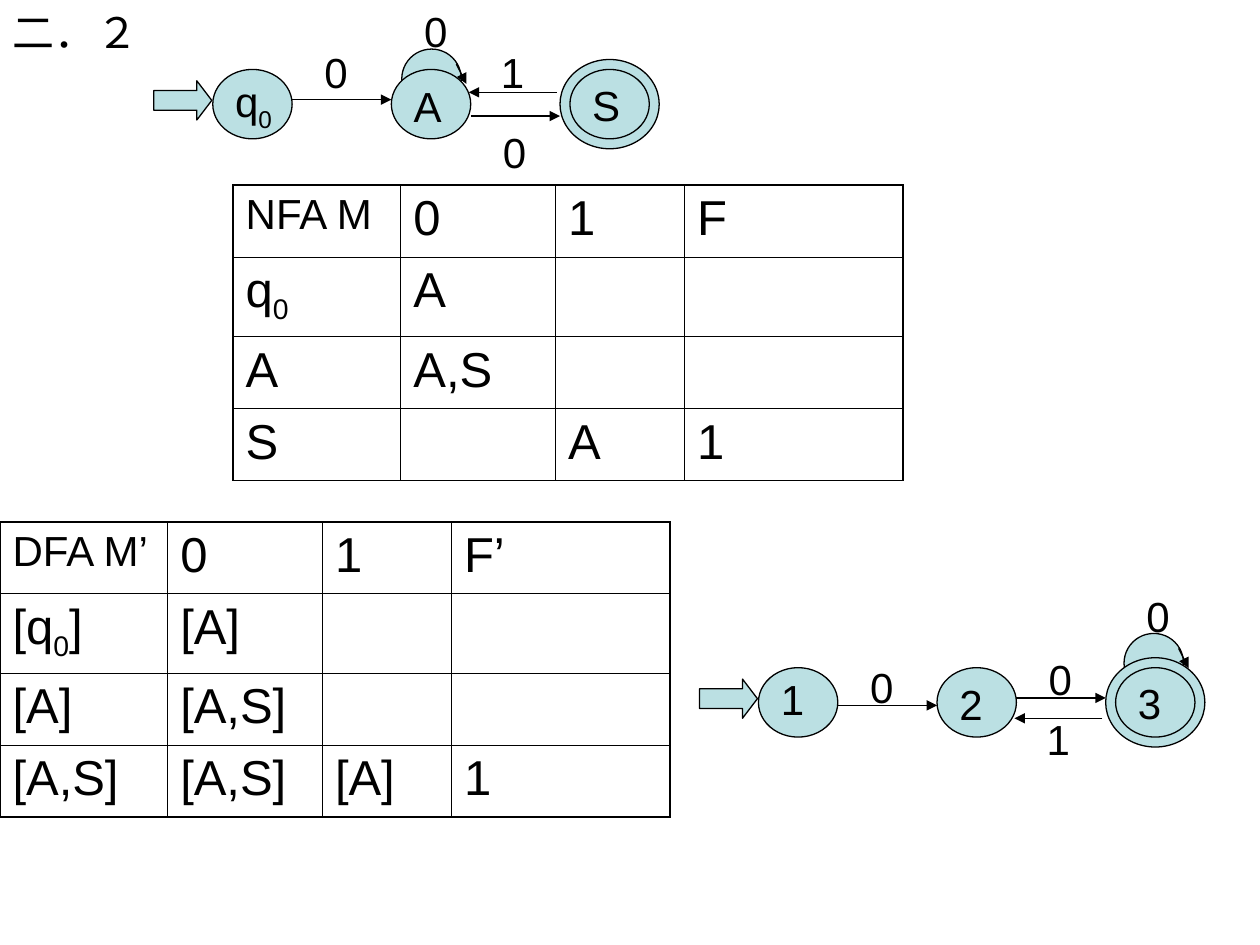
import dataclasses

import pptx
import pptx.dml.color
import pptx.enum.shapes
import pptx.enum.text
import pptx.oxml
import pptx.oxml.ns
import pptx.util

Cm = pptx.util.Cm
Pt = pptx.util.Pt
SHAPE = pptx.enum.shapes.MSO_SHAPE


@dataclasses.dataclass(frozen=True)
class Theme:
    font: str = "Arial"
    ink: str = "000000"
    fill: str = "BBE0E3"
    text_size: int = 24
    cell_size: int = 28
    line: float = 0.75
    inner_border: float = 0.45
    outer_border: float = 1.08


THEME = Theme()

# Lengths in centimetres; automaton parts are measured from its first state.
STATE_W, STATE_H, STATE_PITCH, RING = 1.6, 1.4, 3.6, 0.2
LABEL_W, LABEL_H = 1, 1.27
LABEL_DROPS = (0, 0.1, 0.08)
COLUMNS = (3.38, 3.12, 2.6, 4.4)
ROWS = (1.45, 1.6, 1.45, 1.45)


@dataclasses.dataclass(frozen=True)
class Edge:
    start: float
    end: float
    y: float
    label: str
    label_y: float


NFA_EDGES = (
    Edge(1.6, 3.6, 0.61, "0", -0.58),
    Edge(5.2, 7, 0.94, "0", 1.02),
    Edge(6.93, 5.16, 0.46, "1", -0.58),
)
DFA_EDGES = (
    Edge(1.6, 3.6, 0.76, "0", -0.25),
    Edge(5.2, 7, 0.61, "0", -0.41),
    Edge(6.93, 5.16, 1.02, "1", 0.79),
)
NFA_ROWS = (
    ("NFA M", "0", "1", "F"),
    ("q_0", "A", "", ""),
    ("A", "A,S", "", ""),
    ("S", "", "A", "1"),
)
DFA_ROWS = (
    ("DFA M’", "0", "1", "F’"),
    ("[q_0_]", "[A]", "", ""),
    ("[A]", "[A,S]", "", ""),
    ("[A,S]", "[A,S]", "[A]", "1"),
)


def color(value):
    return pptx.dml.color.RGBColor.from_string(value)


def write(frame, text, size=THEME.text_size, before=15):
    """Fill a text frame; underscores switch subscript on and off."""
    frame.word_wrap = True
    para = frame.paragraphs[0]
    para.alignment = pptx.enum.text.PP_ALIGN.LEFT
    para.space_before = Pt(before)
    for index, part in enumerate(text.split("_")):
        if not part:
            continue
        span = para.add_run()
        span.text = part
        span.font.name = THEME.font
        span.font.size = Pt(size)
        span.font.color.rgb = color(THEME.ink)
        if index % 2:
            span.font._element.set("baseline", "-25000")


def fit_to_text(frame):
    frame.vertical_anchor = pptx.enum.text.MSO_ANCHOR.TOP
    frame.auto_size = pptx.enum.text.MSO_AUTO_SIZE.SHAPE_TO_FIT_TEXT


def add_title(slide, text):
    title = slide.shapes.title
    title.left, title.top, title.width, title.height = Cm(0), Cm(0), Cm(16.3), Cm(LABEL_H)
    write(title.text_frame, text)
    fit_to_text(title.text_frame)


def add_label(shapes, x, y, text, width=LABEL_W):
    box = shapes.add_textbox(Cm(x), Cm(y), Cm(width), Cm(LABEL_H))
    write(box.text_frame, text)
    fit_to_text(box.text_frame)


def add_figure(shapes, kind, x, y, width, height):
    figure = shapes.add_shape(kind, Cm(x), Cm(y), Cm(width), Cm(height))
    figure.shadow.inherit = False
    figure.fill.solid()
    figure.fill.fore_color.rgb = color(THEME.fill)
    figure.line.color.rgb = color(THEME.ink)
    figure.line.width = Pt(THEME.line)
    return figure


def add_arrow(shapes, x1, y1, x2, y2):
    arrow = shapes.add_connector(
        pptx.enum.shapes.MSO_CONNECTOR.STRAIGHT, Cm(x1), Cm(y1), Cm(x2), Cm(y2))
    arrow.line.color.rgb = color(THEME.ink)
    arrow.line.width = Pt(THEME.line)
    namespace = pptx.oxml.ns.nsdecls("a")
    properties = arrow._element.spPr
    properties.find(pptx.oxml.ns.qn("a:ln")).append(
        pptx.oxml.parse_xml(f'<a:tailEnd {namespace} type="triangle"/>'))
    properties.append(pptx.oxml.parse_xml(f"<a:effectLst {namespace}/>"))


def add_state(shapes, x, y, name, drop, final):
    if final:
        add_figure(shapes, SHAPE.OVAL, x - RING, y - RING,
                   STATE_W + 2 * RING, STATE_H + 2 * RING)
    add_figure(shapes, SHAPE.OVAL, x, y, STATE_W, STATE_H)
    add_label(shapes, x + 0.2, y + drop, name, width=STATE_W)


def add_automaton(slide, x, y, names, edges, loop_x, loop_y):
    """Draw a row of states, the last one final, with a 0-loop at the given offset."""
    shapes = slide.shapes.add_group_shape().shapes
    loop_x, loop_y = x + loop_x, y + loop_y
    add_figure(shapes, SHAPE.OVAL, loop_x, loop_y, 1.2, 1.2)
    for index, (name, drop) in enumerate(zip(names, LABEL_DROPS)):
        add_state(shapes, x + index * STATE_PITCH, y, name, drop, index == len(names) - 1)
    entry = add_figure(shapes, SHAPE.RIGHT_ARROW, x - 1.19, y + 0.23, 1.17, 0.79)
    entry.adjustments[0], entry.adjustments[1] = 0.5, 0.38
    for edge in edges:
        add_arrow(shapes, x + edge.start, y + edge.y, x + edge.end, y + edge.y)
        add_label(shapes, x + min(edge.start, edge.end) + 0.4, y + edge.label_y, edge.label)
    add_arrow(shapes, loop_x + 1.1, loop_y + 0.3, loop_x + 1.3, loop_y + 0.7)
    add_label(shapes, loop_x + 0.2, loop_y - 1, "0")


def set_borders(cell, outer_sides):
    properties = cell._tc.get_or_add_tcPr()
    for side in "LRTB":
        weight = THEME.outer_border if side in outer_sides else THEME.inner_border
        properties.append(pptx.oxml.parse_xml(
            f'<a:ln{side} {pptx.oxml.ns.nsdecls("a")} w="{Pt(weight)}"><a:solidFill>'
            f'<a:srgbClr val="{THEME.ink}"/></a:solidFill></a:ln{side}>'))


def add_transition_table(slide, x, y, rows):
    table = slide.shapes.add_table(
        len(ROWS), len(COLUMNS), Cm(x), Cm(y), Cm(sum(COLUMNS)), Cm(sum(ROWS))).table
    table.first_row = table.horz_banding = False
    for column, width in zip(table.columns, COLUMNS):
        column.width = Cm(width)
    for row, height in zip(table.rows, ROWS):
        row.height = Cm(height)
    for r, texts in enumerate(rows):
        for c, text in enumerate(texts):
            cell = table.cell(r, c)
            edges = {"L": c == 0, "R": c == len(COLUMNS) - 1,
                     "T": r == 0, "B": r == len(ROWS) - 1}
            set_borders(cell, [side for side, outer in edges.items() if outer])
            cell.fill.background()
            corner = r == c == 0
            write(cell.text_frame, text, size=THEME.text_size if corner else THEME.cell_size,
                  before=6 if corner else 7)


def main():
    deck = pptx.Presentation()
    deck.slide_width, deck.slide_height = Cm(25.4), Cm(19.05)
    slide = deck.slides.add_slide(deck.slide_layouts.get_by_name("Title Only"))
    add_title(slide, "二．２")
    add_automaton(slide, 4.29, 1.4, ("q_0", "A", "S"), NFA_EDGES, 3.81, -0.41)
    add_transition_table(slide, 4.7, 3.73, NFA_ROWS)
    add_transition_table(slide, 0, 10.52, DFA_ROWS)
    add_automaton(slide, 15.29, 13.46, ("1", "2", "3"), DFA_EDGES, 7.37, -0.69)
    deck.save("out.pptx")


if __name__ == "__main__":
    main()
